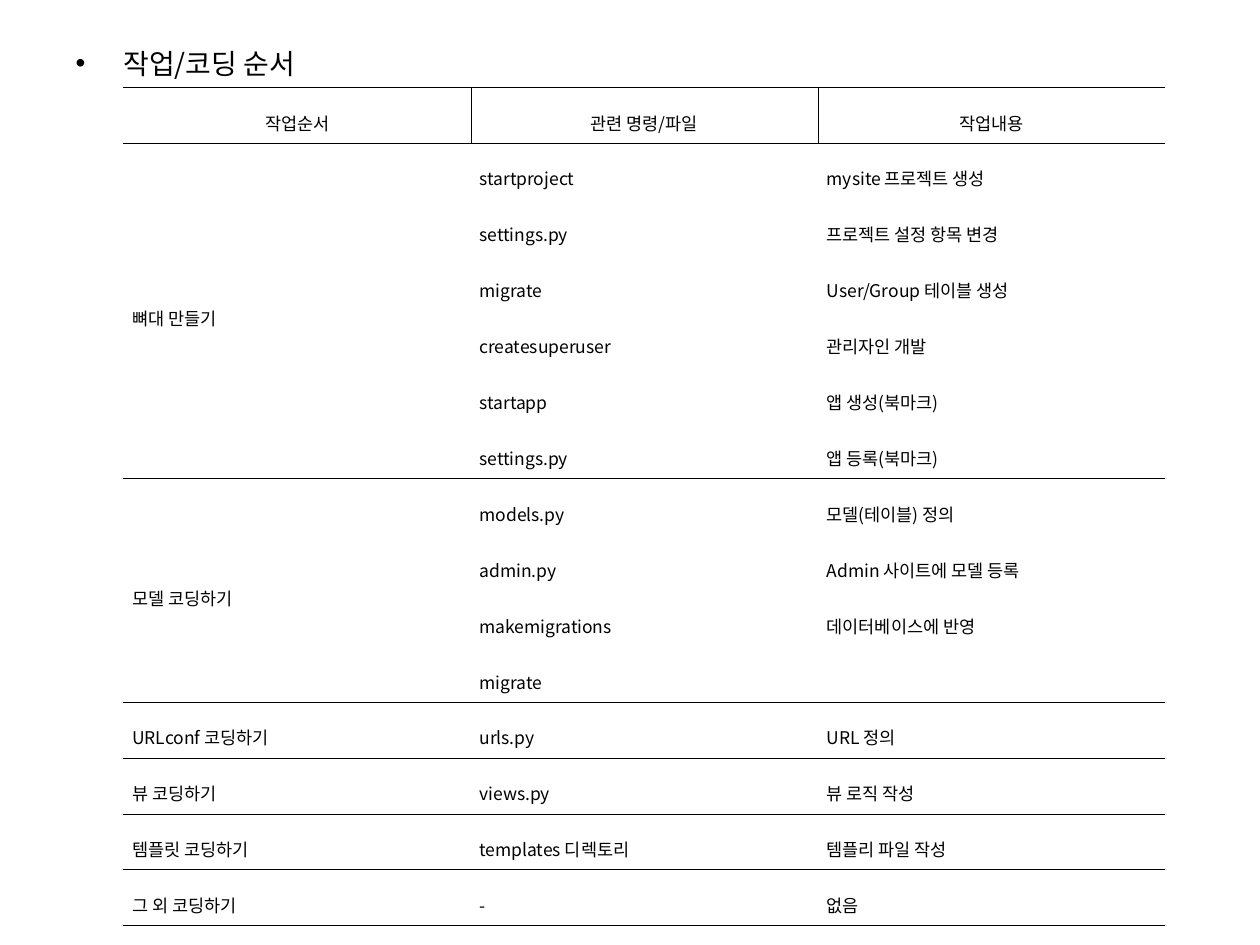
from dataclasses import dataclass

from lxml import etree
from pptx import Presentation
from pptx import util as u
from pptx.dml import color
from pptx.enum import text
from pptx.oxml import ns


@dataclass(frozen=True)
class Theme:
    """Colours, font and sizes shared by the slide."""

    font: str = "Noto Sans CJK KR"
    ink: str = "000000"
    heading_size: float = 16
    table_size: float = 10
    rule_width: float = 0.28


THEME = Theme()
HEADING = "작업/코딩 순서"
HEADER = ("작업순서", "관련 명령/파일", "작업내용")
STAGES = [
    ("뼈대 만들기", [
        ("startproject", "mysite 프로젝트 생성"),
        ("settings.py", "프로젝트 설정 항목 변경"),
        ("migrate", "User/Group 테이블 생성"),
        ("createsuperuser", "관리자인 개발"),
        ("startapp", "앱 생성(북마크)"),
        ("settings.py", "앱 등록(북마크)"),
    ]),
    ("모델 코딩하기", [
        ("models.py", "모델(테이블) 정의"),
        ("admin.py", "Admin 사이트에 모델 등록"),
        ("makemigrations", "데이터베이스에 반영"),
        ("migrate", ""),
    ]),
    ("URLconf 코딩하기", [("urls.py", "URL 정의")]),
    ("뷰 코딩하기", [("views.py", "뷰 로직 작성")]),
    ("템플릿 코딩하기", [("templates 디렉토리", "템플리 파일 작성")]),
    ("그 외 코딩하기", [("-", "없음")]),
]


def style_paragraph(paragraph, size, spacing, alignment):
    """Apply the theme font and the given layout to a paragraph."""
    paragraph.line_spacing = spacing
    paragraph.alignment = alignment
    for run in paragraph.runs:
        run.font.size = u.Pt(size)
        run.font.color.rgb = color.RGBColor.from_string(THEME.ink)
        run.font.name = THEME.font
        east_asian = etree.SubElement(run.font._element, ns.qn("a:ea"))
        east_asian.set("typeface", THEME.font)


def set_borders(cell, sides):
    """Rule the named sides of a cell and clear the others."""
    properties = cell._tc.get_or_add_tcPr()
    for index, side in enumerate("LRTB"):
        line = etree.Element(ns.qn(f"a:ln{side}"), w=str(u.Pt(THEME.rule_width)))
        if side in sides:
            fill = etree.SubElement(line, ns.qn("a:solidFill"))
            etree.SubElement(fill, ns.qn("a:srgbClr"), val=THEME.ink)
        else:
            etree.SubElement(line, ns.qn("a:noFill"))
        properties.insert(index, line)


def fill_cell(cell, wording, alignment, sides):
    """Write and format one table cell."""
    cell.margin_left = cell.margin_right = u.Inches(0.07)
    cell.margin_top = cell.margin_bottom = u.Inches(0.02)
    cell.vertical_anchor = text.MSO_ANCHOR.MIDDLE
    cell.fill.background()
    set_borders(cell, sides)
    if wording:
        cell.text_frame.text = wording
        style_paragraph(cell.text_frame.paragraphs[0], THEME.table_size, 1.6, alignment)


def add_heading(slide, left, top, width, height):
    """Place the bulleted heading in the body placeholder."""
    body = slide.placeholders[1]
    body.left, body.top, body.width, body.height = map(u.Inches, (left, top, width, height))
    body.text_frame.text = HEADING
    body.text_frame.auto_size = text.MSO_AUTO_SIZE.NONE
    paragraph = body.text_frame.paragraphs[0]
    style_paragraph(paragraph, THEME.heading_size, 1.7, text.PP_ALIGN.LEFT)
    properties = paragraph._p.get_or_add_pPr()
    properties.set("marL", str(u.Inches(0.38)))
    properties.set("indent", str(u.Inches(-0.38)))
    etree.SubElement(properties, ns.qn("a:buChar"), char="•")


def add_work_table(slide, left, top, width, height):
    """Place the table of stages, with a rule around each stage."""
    row_count = 1 + sum(len(steps) for _, steps in STAGES)
    frame = slide.shapes.add_table(
        row_count, len(HEADER), *map(u.Inches, (left, top, width, height)))
    table = frame.table
    table.first_row = table.horz_banding = False
    for row in table.rows:
        row.height = u.Inches(height / row_count)

    for column, (wording, sides) in enumerate(zip(HEADER, ("TBR", "TBLR", "TBL"))):
        fill_cell(table.cell(0, column), wording, text.PP_ALIGN.CENTER, sides)

    first = 1
    for stage, steps in STAGES:
        last = first + len(steps) - 1
        for offset, step in enumerate(steps):
            row = first + offset
            sides = ("T" if row == first else "") + ("B" if row == last else "")
            wordings = (stage if row == first else "", *step)
            for column, wording in enumerate(wordings):
                fill_cell(table.cell(row, column), wording, text.PP_ALIGN.JUSTIFY,
                          "TB" if column == 0 and row == first else sides)
        if last > first:
            table.cell(first, 0).merge(table.cell(last, 0))
        first = last + 1


def build_slide(presentation):
    """Build the work order slide."""
    slide = presentation.slides.add_slide(presentation.slide_layouts[1])
    title = slide.shapes.title._element
    title.getparent().remove(title)
    add_heading(slide, 0.5, 0.13, 9, 7.25)
    add_work_table(slide, 0.98, 0.69, 8.27, 6.66)


presentation = Presentation()
presentation.slide_width = u.Inches(10)
presentation.slide_height = u.Inches(7.5)
build_slide(presentation)
presentation.save("out.pptx")
